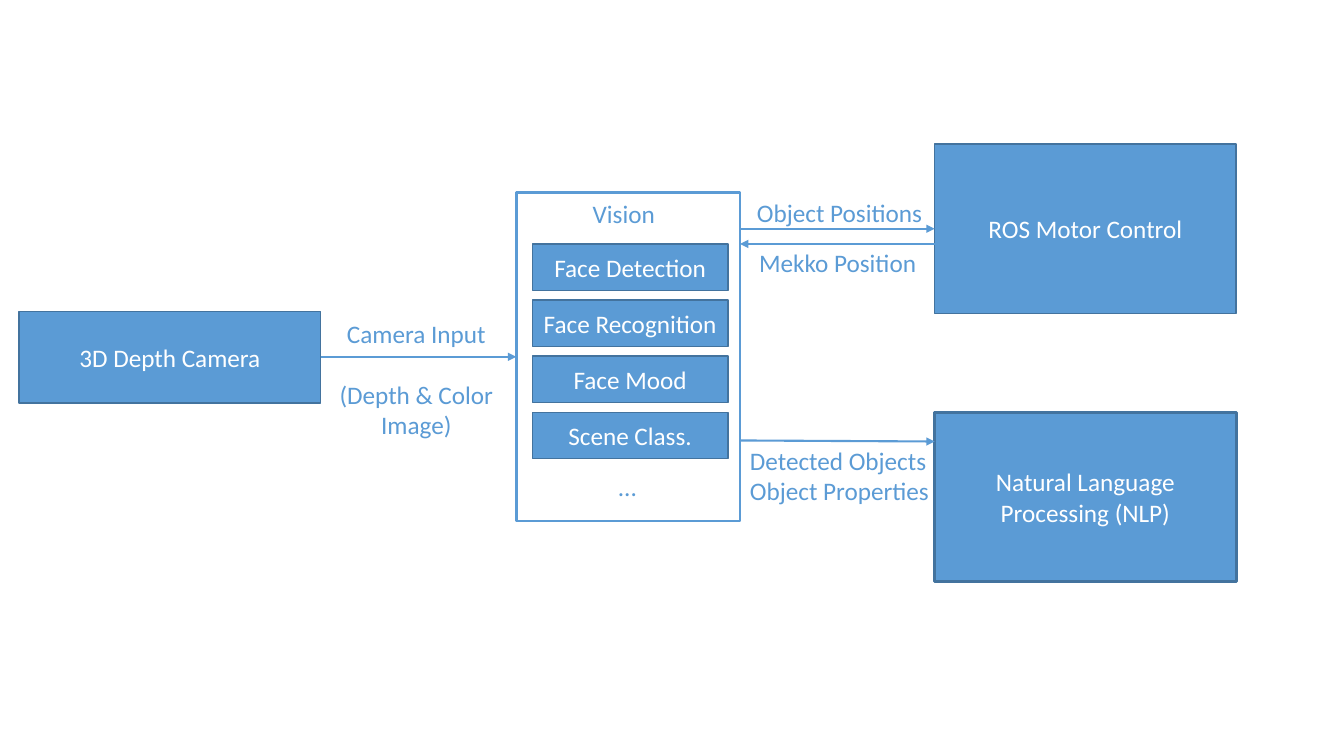
from lxml import etree
from pptx import Presentation
from pptx.dml.color import RGBColor
from pptx.enum import shapes, text
from pptx.oxml import ns
from pptx.util import Inches, Pt

COLORS = {"blue": "5B9BD5", "edge": "43739E", "white": "FFFFFF"}

deck = Presentation()
deck.slide_width, deck.slide_height = Inches(13.33), Inches(7.5)
slide = deck.slides.add_slide(deck.slide_layouts[6])


def write(frame, lines, color, align, gap=0):
    frame.word_wrap = True
    for i, line in enumerate(lines):
        paragraph = frame.paragraphs[0] if i == 0 else frame.add_paragraph()
        paragraph.alignment = align
        paragraph.space_before = Pt(gap if i else 0)
        run = paragraph.add_run()
        run.text = line
        format_values = {"name": "Calibri", "size": Pt(18)}
        for key, value in format_values.items():
            setattr(run.font, key, value)
        run.font.color.rgb = RGBColor.from_string(COLORS[color])


def add_box(place, label, fill="blue", edge="edge", weight=1):
    box = slide.shapes.add_shape(shapes.MSO_SHAPE.RECTANGLE, *map(Inches, place))
    box.shadow.inherit = False
    box.fill.solid()
    box.fill.fore_color.rgb = RGBColor.from_string(COLORS[fill])
    box.line.color.rgb = RGBColor.from_string(COLORS[edge])
    box.line.width = Pt(weight)
    if label:
        box.text_frame.vertical_anchor = text.MSO_ANCHOR.MIDDLE
        write(box.text_frame, [label], "white", text.PP_ALIGN.CENTER)


add_box((9.27, 1.43, 2.99, 1.68), "ROS Motor Control")
add_box((9.27, 4.09, 2.99, 1.68), "Natural Language Processing (NLP)", weight=2)
add_box((5.12, 1.91, 2.22, 3.26), "", fill="white", edge="blue", weight=2)
add_box((0.19, 3.09, 2.99, 0.91), "3D Depth Camera")

modules_of_vision = ["Face Detection", "Face Recognition", "Face Mood", "Scene Class."]
for row, module in enumerate(modules_of_vision):
    add_box((5.28, 2.42 + row * 0.557, 1.94, 0.46), module)

flows = [
    (7.34, 2.27, 9.27, 2.27),
    (9.27, 2.42, 7.34, 2.42),
    (7.34, 4.37, 9.27, 4.38),
    (3.18, 3.54, 5.12, 3.54),
]
for ends in flows:
    arrow = slide.shapes.add_connector(shapes.MSO_CONNECTOR.STRAIGHT, *map(Inches, ends))
    arrow.line.color.rgb = RGBColor.from_string(COLORS["blue"])
    arrow.line.width = Pt(1.5)
    outline = arrow.line._get_or_add_ln()
    etree.SubElement(outline, ns.qn("a:tailEnd"), type="triangle")
    etree.SubElement(arrow._element.spPr, ns.qn("a:effectLst"))

LEFT, CENTER = text.PP_ALIGN.LEFT, text.PP_ALIGN.CENTER
captions = [
    ((7.41, 1.91, 1.86, 0.4), ["Object Positions"], LEFT, 0),
    ((7.43, 2.4, 1.76, 0.4), ["Mekko Position"], LEFT, 0),
    ((7.34, 4.37, 2.06, 0.71), ["Detected Objects", "Object Properties"], LEFT, 0),
    ((3.2, 3.11, 1.86, 1.31), ["Camera Input", "(Depth & Color Image)"], CENTER, 22),
    ((5.78, 1.92, 1.43, 0.4), ["Vision"], LEFT, 0),
    ((6.03, 4.63, 1.18, 0.4), ["..."], LEFT, 0),
]
for place, lines, align, gap in captions:
    caption = slide.shapes.add_textbox(*map(Inches, place))
    write(caption.text_frame, lines, "blue", align, gap)

deck.save("out.pptx")
